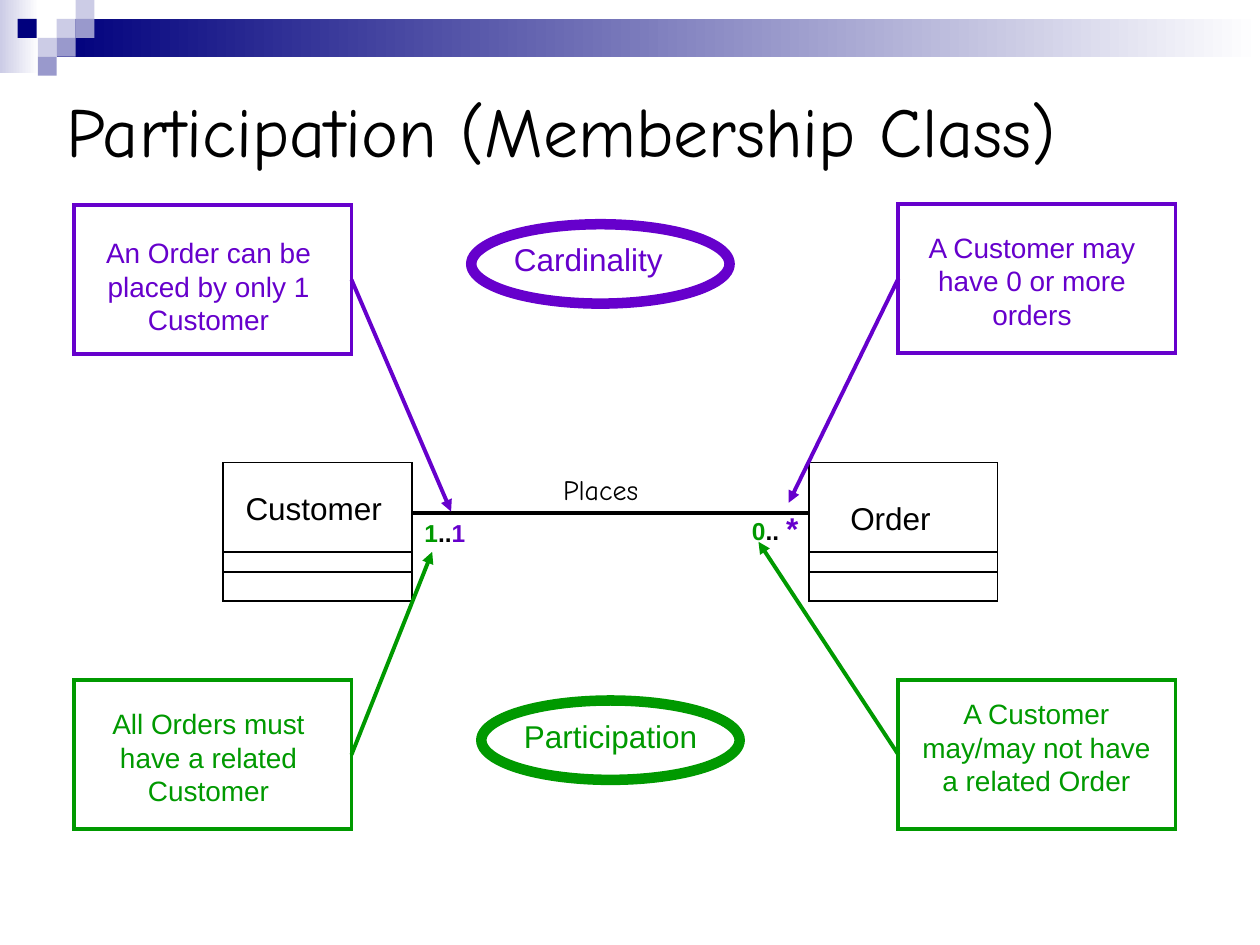
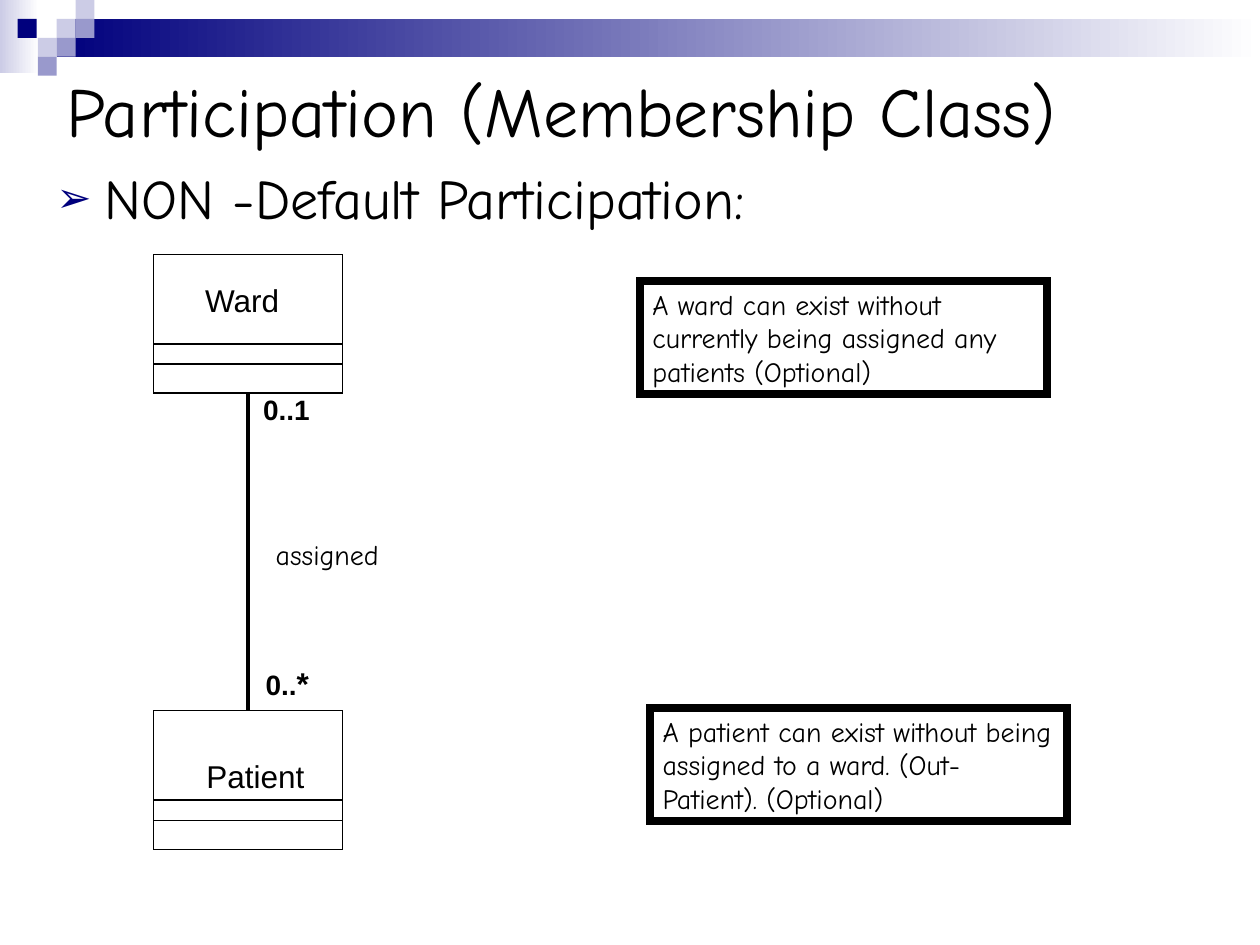
from dataclasses import dataclass
from typing import NamedTuple

from lxml.etree import SubElement
from pptx import Presentation
from pptx.dml.color import RGBColor
from pptx.enum.shapes import MSO_CONNECTOR, MSO_SHAPE
from pptx.enum.text import MSO_ANCHOR, PP_ALIGN
from pptx.oxml.ns import qn
from pptx.util import Inches, Pt

COLORS = {
    "black": "000000",
    "white": "FFFFFF",
    "navy": "00007D",
    "lavender": "CCCCE6",
    "periwinkle": "9999CC",
    "cardinality": "6600CC",
    "participation": "009900",
}
SANS = "Arial"
HAND = "Comic Neue"
TITLE = "Participation (Membership Class)"
TOP, LEFT, BOTTOM, RIGHT = range(4)
CLASS_WIDTH, CLASS_HEIGHT = 1.5, 1.1
CLASS_DIVIDERS = (0.71, 0.87)
CALLOUT_WIDTH, CALLOUT_HEIGHT = 2.2, 1.18


class Area(NamedTuple):
    left: float
    top: float
    width: float
    height: float

    def lengths(self) -> tuple:
        return tuple(Inches(value) for value in self)


class Span(NamedTuple):
    text: str
    size: float = 18
    color: str = "black"


@dataclass
class Label:
    area: Area
    spans: tuple
    font: str = SANS
    bold: bool = False
    centered: bool = False
    wrap: bool = True


@dataclass
class ClassBox:
    left: float
    top: float
    name: Label


@dataclass
class Callout:
    left: float
    top: float
    text: str
    text_area: Area
    color: str
    side: int
    target: tuple


@dataclass
class Topic:
    oval: Area
    label: Label
    color: str


def rgb(name: str) -> RGBColor:
    return RGBColor.from_string(COLORS[name])


def write(frame, spans: tuple, font: str, bold: bool = False):
    """Fill the first paragraph of a frame with formatted runs."""
    para = frame.paragraphs[0]
    for span in spans:
        run = para.add_run()
        run.text = span.text
        run.font.name = font
        run.font.size = Pt(span.size)
        run.font.bold = bold
        run.font.color.rgb = rgb(span.color)
    return para


def add_label(page, label: Label):
    box = page.shapes.add_textbox(*label.area.lengths())
    box.text_frame.word_wrap = label.wrap
    para = write(box.text_frame, label.spans, label.font, label.bold)
    para.alignment = PP_ALIGN.CENTER if label.centered else PP_ALIGN.LEFT
    return para


def add_outline(shapes, kind, area: Area, color: str, weight: float):
    box = shapes.add_shape(kind, *area.lengths())
    box.shadow.inherit = False
    box.fill.background()
    box.line.color.rgb = rgb(color)
    box.line.width = Pt(weight)
    SubElement(box.element.spPr.find(qn("a:ln")), qn("a:miter"), lim="800000")
    return box


def add_line(shapes, start: tuple, end: tuple, color: str = "black",
             weight: float = 2.25, arrow: bool = False):
    points = [Inches(value) for value in (*start, *end)]
    line = shapes.add_connector(MSO_CONNECTOR.STRAIGHT, *points)
    line.line.color.rgb = rgb(color)
    line.line.width = Pt(weight)
    properties = line.element.spPr
    if arrow:
        SubElement(properties.find(qn("a:ln")), qn("a:tailEnd"), type="triangle")
    SubElement(properties, qn("a:effectLst"))
    return line


def add_class(page, item: ClassBox):
    """Draw a class with its three compartments and return its frame."""
    group = page.shapes.add_group_shape()
    area = Area(item.left, item.top, CLASS_WIDTH, CLASS_HEIGHT)
    frame = add_outline(group.shapes, MSO_SHAPE.RECTANGLE, area, "black", 0.75)
    for offset in CLASS_DIVIDERS:
        y = item.top + offset
        add_line(group.shapes, (item.left, y), (item.left + CLASS_WIDTH, y), weight=0.75)
    add_label(page, item.name)
    return frame


def add_callout(page, item: Callout) -> None:
    area = Area(item.left, item.top, CALLOUT_WIDTH, CALLOUT_HEIGHT)
    frame = add_outline(page.shapes, MSO_SHAPE.RECTANGLE, area, item.color, 2.25)
    add_label(page, Label(item.text_area, (Span(item.text, 16, item.color),), centered=True))
    arrow = add_line(page.shapes, (item.left, item.top), item.target, item.color, arrow=True)
    arrow.begin_connect(frame, item.side)


def add_note(page, area: Area, text: str) -> None:
    box = add_outline(page.shapes, MSO_SHAPE.RECTANGLE, area, "black", 4.5)
    box.text_frame.word_wrap = True
    box.text_frame.vertical_anchor = MSO_ANCHOR.TOP
    write(box.text_frame, (Span(text, 16),), HAND).alignment = PP_ALIGN.LEFT


def add_bullet(page, area: Area, text: str) -> None:
    para = add_label(page, Label(area, (Span(text, 32),), HAND))
    para.line_spacing = 0.9
    properties = para._p.get_or_add_pPr()
    properties.set("marL", str(Inches(0.38)))
    properties.set("indent", str(-Inches(0.38)))
    color = SubElement(properties, qn("a:buClr"))
    SubElement(color, qn("a:srgbClr"), val=COLORS["navy"])
    SubElement(properties, qn("a:buSzPct"), val="75000")
    SubElement(properties, qn("a:buFont"), typeface=SANS)
    SubElement(properties, qn("a:buChar"), char="➢")


# Shared band: two fading bars and a mosaic of small squares
BARS = (
    (Area(0, 0, 0.31, 0.58), "lavender"),
    (Area(0.45, 0.15, 9.55, 0.3), "navy"),
)
SQUARE = 0.15
SQUARES = (
    (0.45, 0.15, "lavender"),
    (0.6, 0, "lavender"),
    (0.6, 0.15, "periwinkle"),
    (0.3, 0.3, "lavender"),
    (0.14, 0.15, "navy"),
    (0.45, 0.3, "periwinkle"),
    (0.3, 0.45, "periwinkle"),
)


def decorate_layout(layout, page) -> None:
    """Draw the band on a page, then move it to the layout all pages use."""
    for placeholder in list(layout.placeholders)[1:]:
        layout.shapes.element.remove(placeholder.element)
    band = page.shapes.add_group_shape()
    tiles = [(Area(x, y, SQUARE, SQUARE), color) for x, y, color in SQUARES]
    for area, color in (*BARS, *tiles):
        box = band.shapes.add_shape(MSO_SHAPE.RECTANGLE, *area.lengths())
        box.shadow.inherit = False
        box.line.fill.background()
        if (area, color) in BARS:
            box.fill.gradient()
            box.fill.gradient_angle = 0
            for stop, shade, position in zip(box.fill.gradient_stops, (color, "white"), (0, 1)):
                stop.color.rgb = rgb(shade)
                stop.position = position
        else:
            box.fill.solid()
            box.fill.fore_color.rgb = rgb(color)
    layout.shapes.element.append(band.element)


def add_page(deck, layout, title_top: float):
    page = deck.slides.add_slide(layout)
    title = page.shapes.title
    title.left, title.top, title.width, title.height = Area(0.43, title_top, 9.23, 1.02).lengths()
    title.text_frame.vertical_anchor = MSO_ANCHOR.MIDDLE
    write(title.text_frame, (Span(TITLE, 40),), HAND).alignment = PP_ALIGN.LEFT
    return page


# Slide 1: cardinality and participation of an association
ORDER_CLASSES = (
    ClassBox(1.77, 3.67, Label(Area(1.85, 3.83, 1.42, 0.4), (Span("Customer"),))),
    ClassBox(6.42, 3.67, Label(Area(6.65, 3.91, 0.84, 0.4), (Span("Order"),), wrap=False)),
)
ORDER_LABELS = (
    Label(Area(4.37, 3.7, 1.02, 0.37), (Span("Places", 16),), HAND),
    Label(Area(3.27, 4.06, 0.55, 0.34),
          (Span("1", 14, "participation"), Span("..", 14), Span("1", 14, "cardinality")),
          bold=True),
    Label(Area(5.87, 3.99, 0.63, 0.4),
          (Span("0", 14, "participation"), Span(".. ", 14), Span("*", 18, "cardinality")),
          bold=True),
)
CALLOUTS = (
    Callout(0.59, 1.63, "An Order can be placed by only 1 Customer",
            Area(0.59, 1.82, 2.13, 0.9), "cardinality", RIGHT, (3.58, 4.06)),
    Callout(7.13, 1.62, "A Customer may have 0 or more orders",
            Area(7.13, 1.78, 2.12, 0.9), "cardinality", LEFT, (6.26, 3.99)),
    Callout(0.59, 5.4, "All Orders must have a related Customer",
            Area(0.59, 5.56, 2.13, 0.9), "participation", RIGHT, (3.43, 4.38)),
    Callout(7.13, 5.4, "A Customer may/may not have a related Order",
            Area(7.2, 5.48, 2.05, 0.9), "participation", LEFT, (6.02, 4.3)),
)
TOPICS = (
    Topic(Area(3.74, 1.78, 2.05, 0.63),
          Label(Area(3.98, 1.86, 1.64, 0.4), (Span("Cardinality", 18, "cardinality"),)),
          "cardinality"),
    Topic(Area(3.82, 5.56, 2.05, 0.63),
          Label(Area(4.06, 5.64, 1.64, 0.4), (Span("Participation", 18, "participation"),)),
          "participation"),
)

# Slide 2: optional participation on both ends
WARD = ClassBox(1.22, 2.02, Label(Area(1.53, 2.18, 0.87, 0.4), (Span("Ward"),)))
PATIENT = ClassBox(1.22, 5.64, Label(Area(1.54, 5.96, 0.98, 0.4), (Span("Patient"),), wrap=False))
WARD_LABELS = (
    Label(Area(2.09, 4.22, 1.26, 0.37), (Span("assigned", 16),), HAND),
    Label(Area(1.99, 3.07, 0.62, 0.37), (Span("0..1", 16),), bold=True),
    Label(Area(2.01, 5.22, 0.62, 0.4), (Span("0..", 16), Span("*")), bold=True),
)
NOTES = (
    (Area(5.08, 2.23, 3.23, 0.9),
     "A ward can exist without currently being assigned any patients (Optional)"),
    (Area(5.16, 5.62, 3.31, 0.9),
     "A patient can exist without being assigned to a ward. (Out-Patient). (Optional)"),
)


def build_order_page(page) -> None:
    for item in ORDER_CLASSES:
        add_class(page, item)
    add_line(page.shapes, (3.27, 4.07), (6.42, 4.07))
    for label in ORDER_LABELS:
        add_label(page, label)
    for callout in CALLOUTS:
        add_callout(page, callout)
    for topic in TOPICS:
        add_outline(page.shapes, MSO_SHAPE.OVAL, topic.oval, topic.color, 6)
        add_label(page, topic.label)


def build_ward_page(page) -> None:
    add_bullet(page, Area(0.35, 1.31, 9, 0.63), "NON -Default Participation:")
    ward, patient = (add_class(page, item) for item in (WARD, PATIENT))
    association = add_line(page.shapes, (1.97, 3.12), (1.97, 5.64))
    association.begin_connect(ward, BOTTOM)
    association.end_connect(patient, TOP)
    for label in WARD_LABELS:
        add_label(page, label)
    for area, text in NOTES:
        add_note(page, area, text)


def main() -> None:
    deck = Presentation()
    deck.slide_width, deck.slide_height = Inches(10), Inches(7.5)
    layout = deck.slide_layouts.get_by_name("Title Only")
    order_page = add_page(deck, layout, 0.52)
    decorate_layout(layout, order_page)
    build_order_page(order_page)
    build_ward_page(add_page(deck, layout, 0.36))
    deck.save("out.pptx")


if __name__ == "__main__":
    main()
